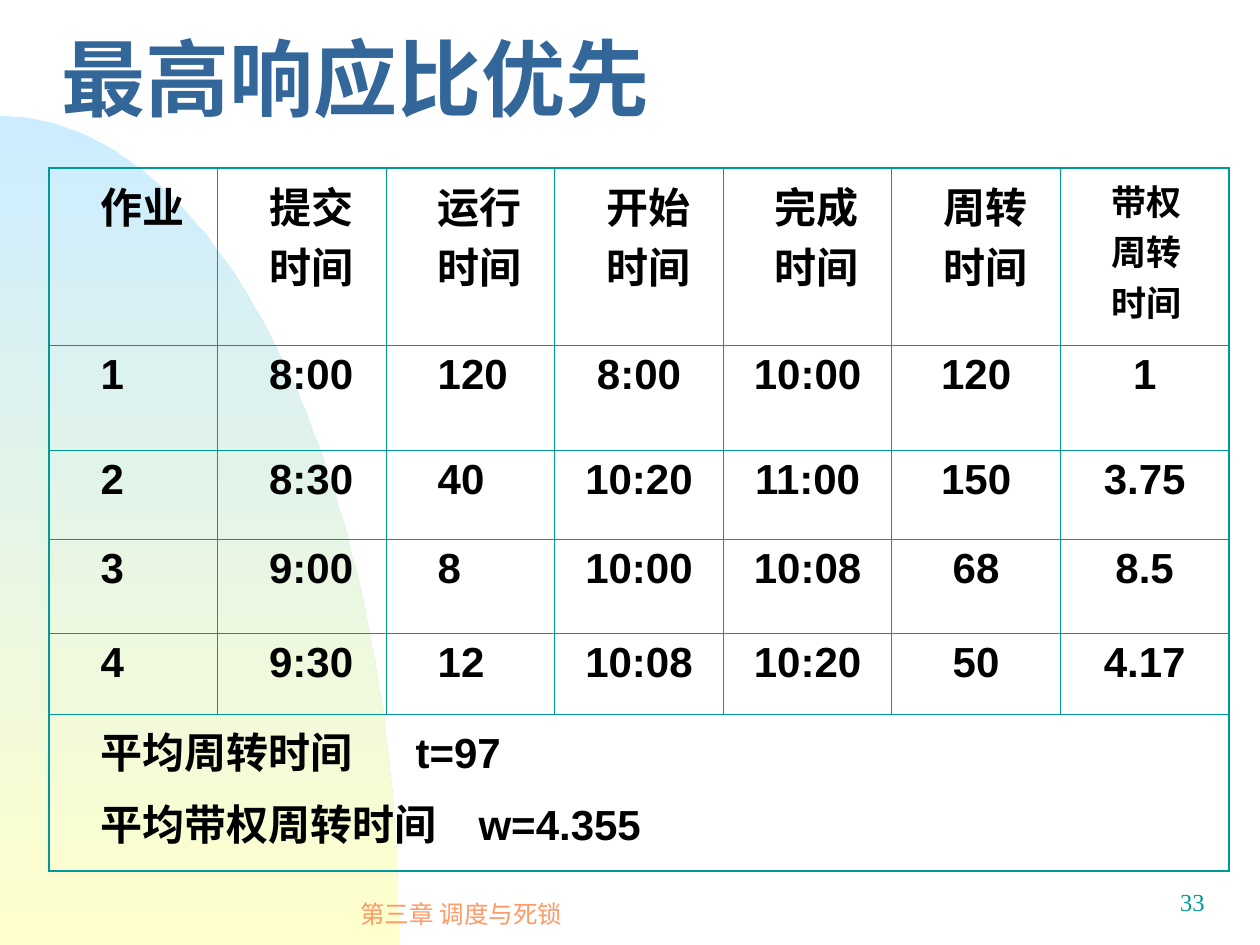
from math import cos, pi, sin

from lxml.etree import SubElement
from pptx import Presentation
from pptx.dml.color import RGBColor
from pptx.enum.text import MSO_ANCHOR as Anchor, PP_ALIGN as Align
from pptx.oxml import parse_xml
from pptx.oxml.ns import nsdecls, qn
from pptx.util import Pt

PX = 914400 // 126
COLORS = {"title": "336699", "footer": "FF9966", "teal": "009999", "text": "000000",
          "sky": "CCECFF", "cream": "FFFFCC"}

# Content
TITLE = "最高响应比优先"
FOOTER = "第三章 调度与死锁"
PAGE_NUMBER = "33"
ROWS = [
    ("作业", "提交时间", "运行时间", "开始时间", "完成时间", "周转时间", "带权周转时间"),
    ("1", "8:00", "120", "8:00", "10:00", "120", "1"),
    ("2", "8:30", "40", "10:20", "11:00", "150", "3.75"),
    ("3", "9:00", "8", "10:00", "10:08", "68", "8.5"),
    ("4", "9:30", "12", "10:08", "10:20", "50", "4.17"),
]
AVERAGES = [("平均周转时间\tt=97", 324), ("平均带权周转时间\tw=4.355", 407)]  # text, tab stop
ROW_HEIGHTS = [177, 105, 89, 94, 81, 157]
TABLE_LEFT, TABLE_TOP, TABLE_WIDTH = 49, 168, 1180
INDENT = 39
THIN, THICK = 0.45, 1.08


def color(name):
    return RGBColor.from_string(COLORS[name])


def style(para, size, name, font="Arial", bold=False):
    para.font.size = Pt(size)
    para.font.name = font
    para.font.bold = bold
    para.font.color.rgb = color(name)


def add_text(page, text, left, top, width, height, align, anchor, wrap=True):
    frame = page.shapes.add_textbox(left * PX, top * PX, width * PX, height * PX).text_frame
    frame.word_wrap = wrap
    frame.vertical_anchor = anchor
    para = frame.paragraphs[0]
    para.text = text
    para.alignment = align
    return para


def set_borders(cell, widths):
    props = cell._tc.get_or_add_tcPr()
    for place, (side, width) in enumerate(zip("LRTB", widths)):
        props.insert(place, parse_xml(
            f'<a:ln{side} {nsdecls("a")} w="{Pt(width)}"><a:solidFill>'
            f'<a:srgbClr val="{COLORS["teal"]}"/></a:solidFill></a:ln{side}>'))


def fill_paragraph(para, text, size=24, centered=False, tab=None):
    para.text = text
    props = para._p.get_or_add_pPr()
    props.set("marL", str(INDENT * PX))
    props.set("indent", str(-INDENT * PX if centered else 0))
    if tab:
        stops = SubElement(props, qn("a:tabLst"))
        SubElement(stops, qn("a:tab"), pos=str(tab * PX), algn="l")
    para.alignment = Align.CENTER if centered else Align.LEFT
    para.space_before = Pt(size / 4)
    style(para, size, "text", bold=True)


def add_backdrop(page):
    # Quarter ellipse rising from the lower left corner
    bottom, across, up, steps = 945, 399, 829, 90
    arc = [(across * sin(k * pi / 2 / steps), bottom - up * cos(k * pi / 2 / steps))
           for k in range(steps + 1)]
    builder = page.shapes.build_freeform(*arc[0], scale=PX)
    builder.add_line_segments(arc[1:] + [(0, bottom)], close=True)
    shape = builder.convert_to_shape()
    shape.shadow.inherit = False
    shape.line.fill.background()
    shape.fill.gradient()
    shape.fill.gradient_angle = 270
    for stop, name, position in zip(shape.fill.gradient_stops, ("sky", "cream"), (0, 1)):
        stop.color.rgb = color(name)
        stop.position = position


def add_schedule(page):
    row_count, column_count = len(ROW_HEIGHTS), len(ROWS[0])
    table = page.shapes.add_table(row_count, column_count, TABLE_LEFT * PX, TABLE_TOP * PX,
                                  TABLE_WIDTH * PX, sum(ROW_HEIGHTS) * PX).table
    table.first_row = table.horz_banding = False
    for row, height in zip(table.rows, ROW_HEIGHTS):
        row.height = height * PX

    last_row, last_column = row_count - 1, column_count - 1
    table.cell(last_row, 0).merge(table.cell(last_row, last_column))
    for r in range(row_count):
        for c in range(column_count):
            cell = table.cell(r, c)
            cell.fill.background()
            outer = (c == 0, c == last_column or r == last_row, r == 0, r == last_row)
            set_borders(cell, [THICK if edge else THIN for edge in outer])

    for r, values in enumerate(ROWS):
        for c, value in enumerate(values):
            size = 20 if r == 0 and c == last_column else 24
            fill_paragraph(table.cell(r, c).text_frame.paragraphs[0], value, size,
                           centered=r > 0 and c > 2)

    frame = table.cell(last_row, 0).text_frame
    for i, (text, tab) in enumerate(AVERAGES):
        para = frame.add_paragraph() if i else frame.paragraphs[0]
        fill_paragraph(para, text, tab=tab)


def main():
    deck = Presentation()
    deck.slide_width, deck.slide_height = 1260 * PX, 945 * PX
    page = deck.slides.add_slide(deck.slide_layouts[6])

    add_backdrop(page)

    # Footer and page number
    footer = add_text(page, FOOTER, 262, 882, 399, 63, Align.CENTER, Anchor.MIDDLE, wrap=False)
    style(footer, 14, "footer")
    number = add_text(page, PAGE_NUMBER, 955, 881, 262, 63, Align.RIGHT, Anchor.TOP)
    style(number, 14, "teal", "Times New Roman")

    # Title
    title = add_text(page, TITLE, 49, 21, 1189, 136, Align.LEFT, Anchor.MIDDLE)
    title.line_spacing = 0.7
    style(title, 48, "title", "Arial Narrow", bold=True)

    add_schedule(page)
    deck.save("out.pptx")


if __name__ == "__main__":
    main()
